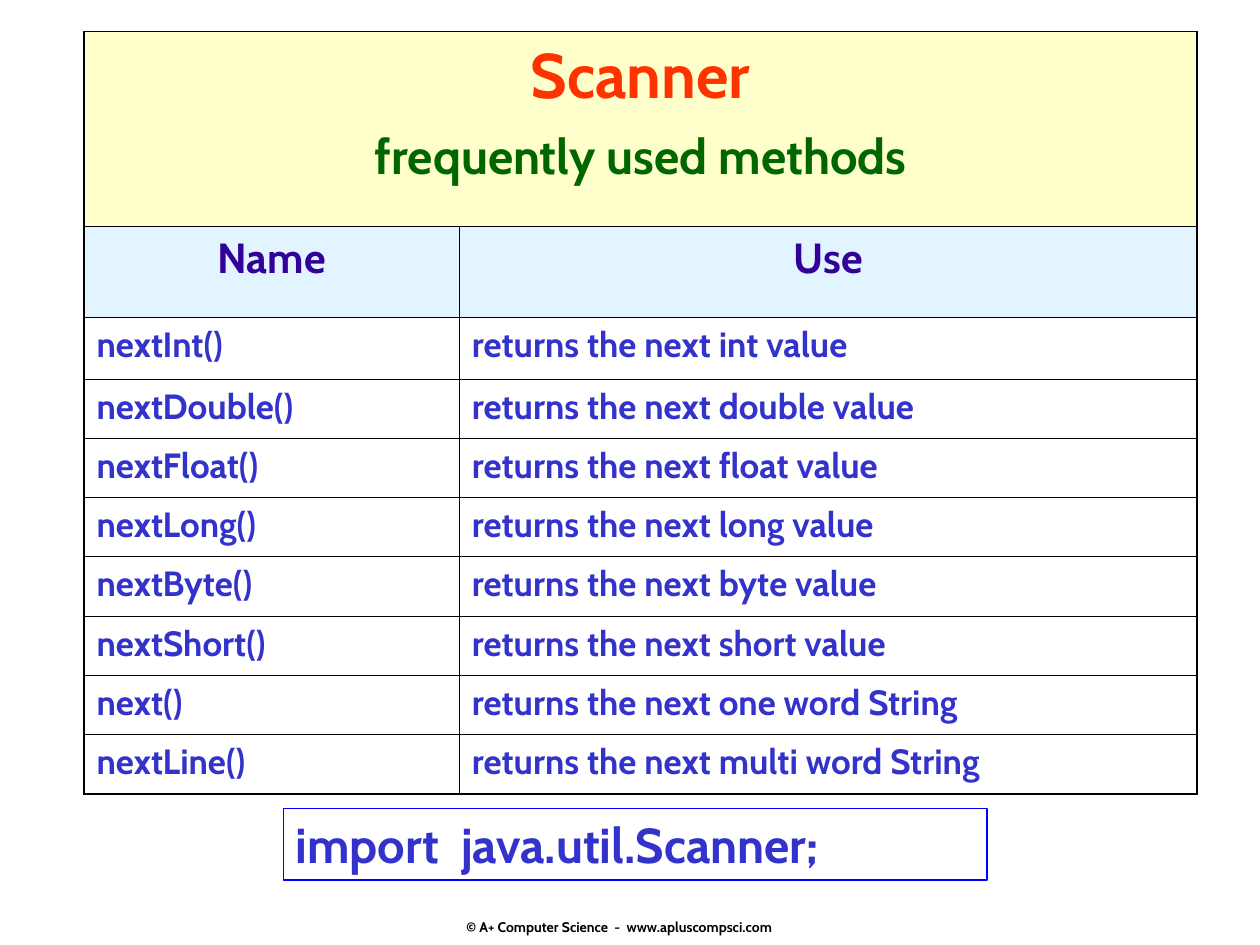
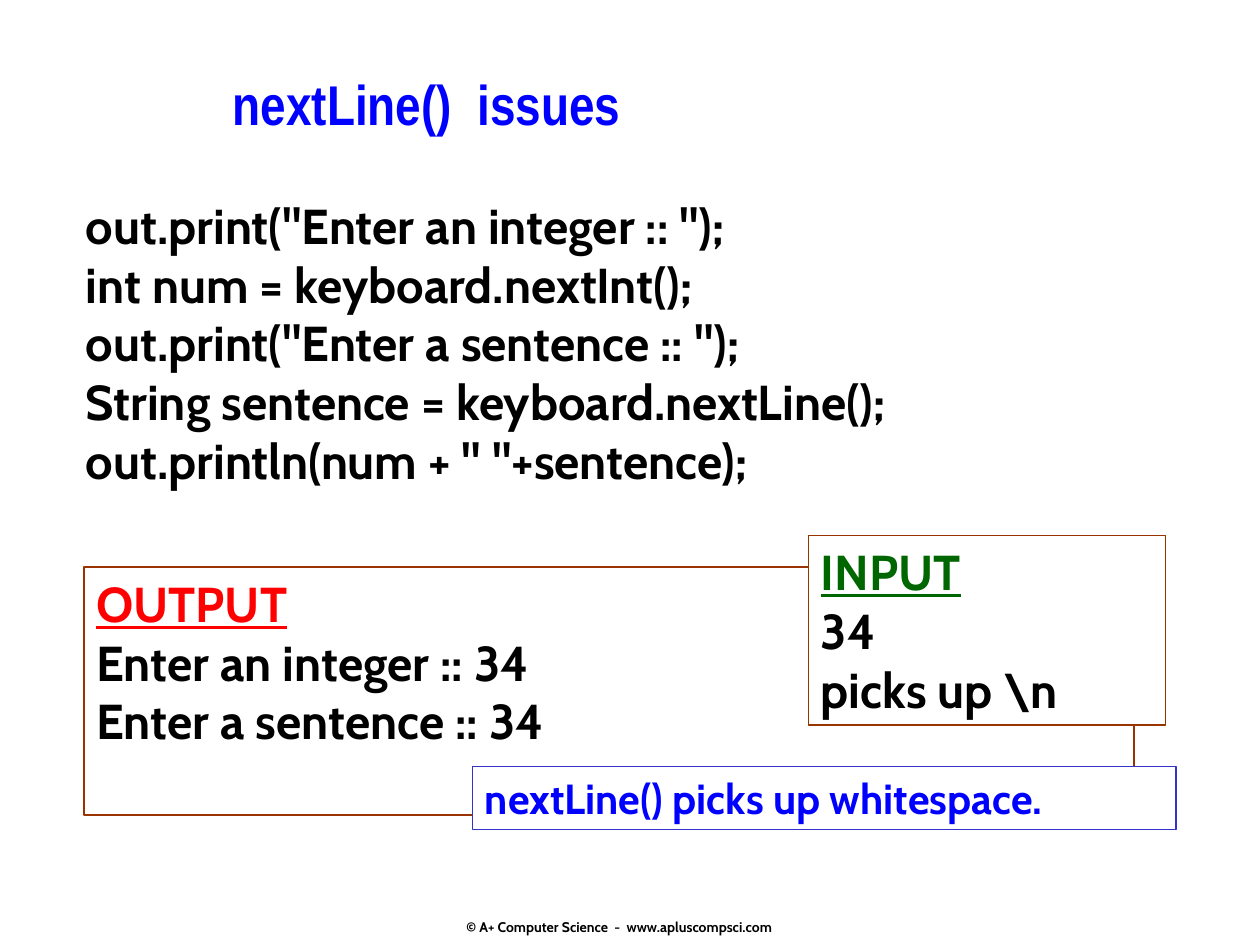
from dataclasses import dataclass

from lxml import etree
from pptx import Presentation
from pptx.dml.color import RGBColor
from pptx.enum.shapes import MSO_SHAPE
from pptx.enum.text import MSO_ANCHOR, PP_ALIGN
from pptx.oxml.ns import qn
from pptx.util import Pt

RECTANGLE = MSO_SHAPE.RECTANGLE
TOP = MSO_ANCHOR.TOP
BOTTOM = MSO_ANCHOR.BOTTOM
LEFT = PP_ALIGN.LEFT
CENTER = PP_ALIGN.CENTER
EMU_PER_PX = 3810


@dataclass(frozen=True)
class Theme:
    font: str = "Cabin"
    title_font: str = "Arial Narrow"
    black: str = "000000"
    white: str = "FFFFFF"
    blue: str = "0000FF"
    indigo: str = "3333CC"
    violet: str = "330099"
    green: str = "006600"
    red: str = "FF0000"
    orange: str = "FF3300"
    brown: str = "993300"
    cream: str = "FFFFCC"
    sky: str = "E1F4FF"
    footer_size: int = 8
    row_size: int = 20
    heading_size: int = 24
    code_size: int = 28
    title_size: int = 32
    banner_size: int = 36
    outer_line: float = 1.08
    inner_line: float = 0.45


THEME = Theme()
FOOTER = "© A+ Computer Science  -  www.apluscompsci.com"
METHODS = [
    ("nextInt()", "returns the next int value"),
    ("nextDouble()", "returns the next double value"),
    ("nextFloat()", "returns the next float value"),
    ("nextLong()", "returns the next long value"),
    ("nextByte()", "returns the next byte value"),
    ("nextShort()", "returns the next short value"),
    ("next()", "returns the next one word String"),
    ("nextLine()", "returns the next multi word String"),
]
CODE = [
    'out.print("Enter an integer :: ");',
    "int num = keyboard.nextInt();",
    'out.print("Enter a sentence :: ");',
    "String sentence = keyboard.nextLine();",
    'out.println(num + " "+sentence);',
]


@dataclass(frozen=True)
class Line:
    text: str
    size: int = THEME.code_size
    color: str = THEME.black
    font: str = THEME.font
    align: PP_ALIGN = LEFT
    underline: bool = False
    space_before: int = 0


def px(*lengths):
    return [length * EMU_PER_PX for length in lengths]


def write_lines(frame, lines):
    for index, line in enumerate(lines):
        para = frame.paragraphs[0] if index == 0 else frame.add_paragraph()
        para.text = line.text
        para.alignment = line.align
        if line.space_before:
            para.space_before = Pt(line.space_before)
        para.font.name = line.font
        para.font.size = Pt(line.size)
        para.font.bold = True
        para.font.underline = line.underline
        para.font.color.rgb = RGBColor.from_string(line.color)


def add_text(page, area, lines, anchor=TOP, wrap=True):
    frame = page.shapes.add_textbox(*px(*area)).text_frame
    frame.word_wrap = wrap
    frame.vertical_anchor = anchor
    write_lines(frame, lines)


def add_panel(page, area, lines, fill=None, outline=None, width=1.0):
    box = page.shapes.add_shape(RECTANGLE, *px(*area))
    box.shadow.inherit = False
    if fill:
        box.fill.solid()
        box.fill.fore_color.rgb = RGBColor.from_string(fill)
    else:
        box.fill.background()
    if outline:
        box.line.color.rgb = RGBColor.from_string(outline)
        box.line.width = Pt(width)
    else:
        box.line.fill.background()
    box.text_frame.word_wrap = True
    box.text_frame.vertical_anchor = TOP
    write_lines(box.text_frame, lines)


def set_borders(cell, outer_sides):
    properties = cell._tc.get_or_add_tcPr()
    for index, side in enumerate("LRTB"):
        width = THEME.outer_line if side in outer_sides else THEME.inner_line
        border = etree.Element(qn(f"a:ln{side}"), w=str(Pt(width)))
        fill = etree.SubElement(border, qn("a:solidFill"))
        etree.SubElement(fill, qn("a:srgbClr"), val=THEME.black)
        properties.insert(index, border)


def fill_cell(cell, color, opacity=100):
    cell.fill.solid()
    cell.fill.fore_color.rgb = RGBColor.from_string(color)
    if opacity < 100:
        tint = cell._tc.tcPr.find(".//" + qn("a:srgbClr"))
        etree.SubElement(tint, qn("a:alpha"), val=str(opacity * 1000))


def add_method_table(page):
    widths = [715, 1405]
    heights = [372, 172, 118] + [113] * (len(METHODS) - 1)
    area = px(160, 60, sum(widths), sum(heights))
    table = page.shapes.add_table(len(heights), len(widths), *area).table
    table.first_row = False
    table.horz_banding = False
    for column, width in zip(table.columns, px(*widths)):
        column.width = width
    for row, height in zip(table.rows, px(*heights)):
        row.height = height

    last_row, last_column = len(heights) - 1, len(widths) - 1
    for row in range(len(heights)):
        for column in range(len(widths)):
            cell = table.cell(row, column)
            cell.fill.background()
            edges = {"L": column == 0, "R": column == last_column,
                     "T": row == 0, "B": row == last_row}
            if row == 0:
                edges["R"] = True
            set_borders(cell, [side for side, outer in edges.items() if outer])

    banner = table.cell(0, 0)
    banner.merge(table.cell(0, last_column))
    fill_cell(banner, THEME.cream)
    write_lines(banner.text_frame, [
        Line("Scanner", THEME.banner_size, THEME.orange, align=CENTER),
        Line("frequently used methods", color=THEME.green, align=CENTER,
             space_before=7),
    ])
    for column, heading in enumerate(("Name", "Use")):
        cell = table.cell(1, column)
        fill_cell(cell, THEME.sky, 50)
        write_lines(cell.text_frame, [
            Line(heading, THEME.heading_size, THEME.violet, align=CENTER)])
    for row, method in enumerate(METHODS, start=2):
        for column, text in enumerate(method):
            write_lines(table.cell(row, column).text_frame,
                        [Line(text, THEME.row_size, THEME.indigo)])


def add_page(deck):
    page = deck.slides.add_slide(deck.slide_layouts[6])
    add_text(page, (800, 1640, 760, 153),
             [Line(FOOTER, THEME.footer_size, align=CENTER)], BOTTOM)
    return page


def build_methods_page(deck):
    page = add_page(deck)
    add_method_table(page)
    add_panel(page, (540, 1540, 1340, 137),
              [Line("import  java.util.Scanner;", color=THEME.indigo)],
              outline=THEME.blue)


def build_issues_page(deck):
    page = add_page(deck)
    add_panel(page, (140, 360, 2220, 585), [Line(text) for text in CODE],
              fill=THEME.white)
    add_text(page, (420, 120, 1460, 200),
             [Line("nextLine()  issues", THEME.title_size, THEME.blue,
                   THEME.title_font)], wrap=False)
    add_panel(page, (160, 1080, 2000, 472), [
        Line("OUTPUT", color=THEME.red, underline=True),
        Line("Enter an integer :: 34"),
        Line("Enter a sentence :: 34"),
    ], outline=THEME.brown)
    add_panel(page, (1540, 1020, 680, 361), [
        Line("INPUT", color=THEME.green, underline=True),
        Line("34"),
        Line("picks up \\n"),
    ], THEME.white, THEME.brown)
    add_panel(page, (900, 1460, 1340, 120),
              [Line("nextLine() picks up whitespace.", THEME.heading_size,
                    THEME.blue)],
              THEME.white, THEME.indigo, 0.75)


def main():
    deck = Presentation()
    deck.slide_width, deck.slide_height = px(2400, 1800)
    build_methods_page(deck)
    build_issues_page(deck)
    deck.save("out.pptx")


if __name__ == "__main__":
    main()
